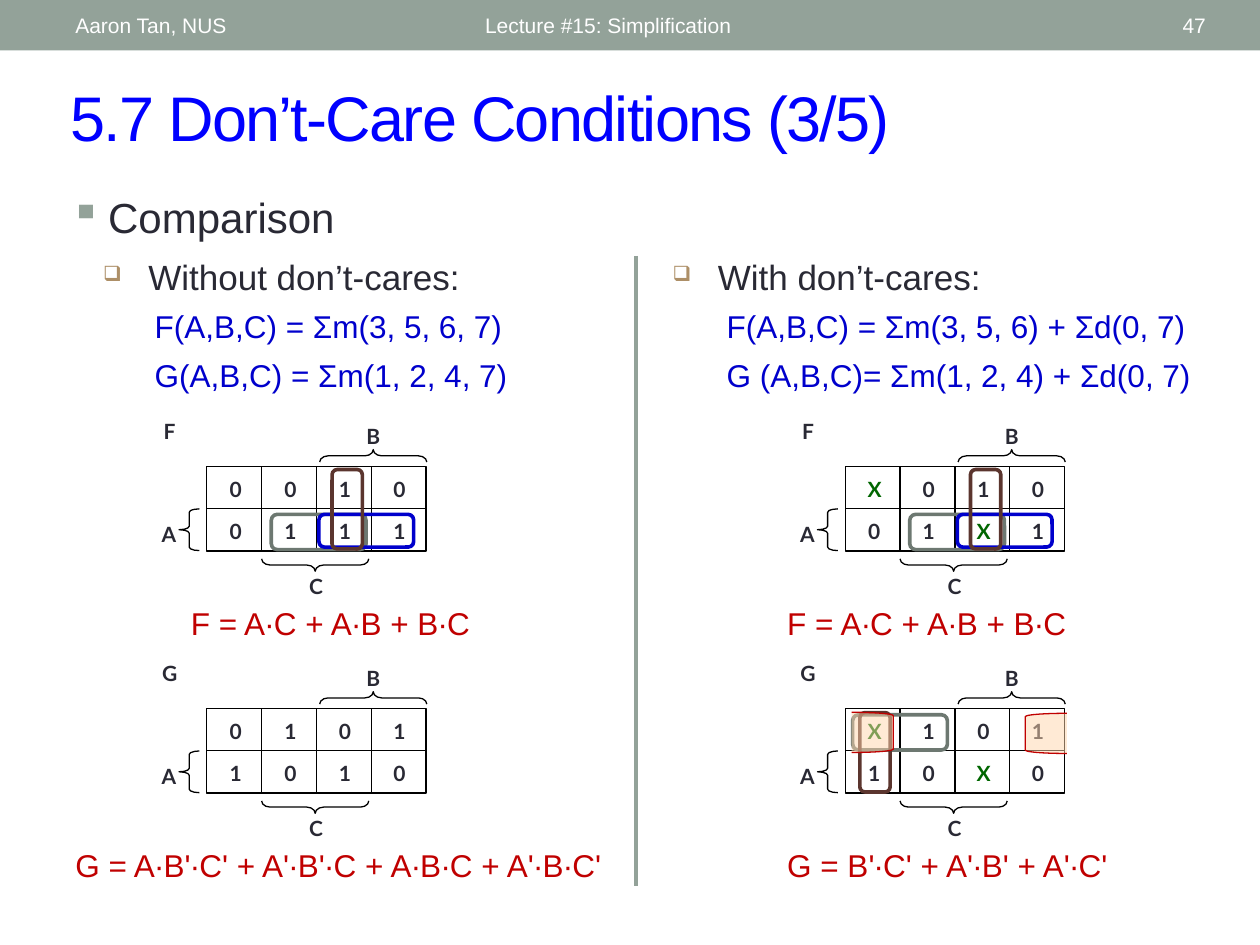
from lxml.etree import SubElement
from pptx import Presentation
from pptx.dml.color import RGBColor as Rgb
from pptx.enum.shapes import MSO_CONNECTOR as Link, MSO_SHAPE as Kind
from pptx.enum.text import MSO_ANCHOR as Anchor, PP_ALIGN as Align
from pptx.oxml.ns import qn
from pptx.util import Cm, Pt

COLORS = {
    "sage": "93A299", "white": "FFFFFF", "black": "000000", "title": "0000FF",
    "body": "292934", "blue": "0000CC", "red": "C00000", "green": "006600",
    "tan": "AD8F67", "gray": "6D7871", "brown": "5B352E", "peach": "FFD6AD",
}
STYLES = {
    "title": {"name": "Arial", "size": Pt(36)},
    "header": {"name": "Arial", "size": Pt(12)},
    "topic": {"name": "Arial", "size": Pt(24)},
    "case": {"name": "Arial", "size": Pt(20)},
    "formula": {"name": "Arial", "size": Pt(18)},
    "map": {"name": "Lato", "size": Pt(12), "bold": True},
}
HEADER = [
    ("Aaron Tan, NUS", (1.27, 0.05, 8.05, 0.91), Align.LEFT),
    ("Lecture #15: Simplification", (9.53, 0.05, 11.43, 0.91), Align.LEFT),
    ("47", (22.15, 0.05, 2.41, 0.91), Align.RIGHT),
]
TITLE = "5.7 Don’t-Care Conditions (3/5)"
TOPIC = "Comparison"
F_LOOPS = [
    ("gray", (1.3, 0.97, 1.91, 0.71), 0),
    ("blue", (2.26, 0.97, 1.91, 0.66), 0),
    ("brown", (2.03, 0.56, 1.6, 0.61), 270),
]
G_LOOPS = [
    ("gray", (0.15, 0.13, 1.91, 0.71), 0),
    ("brown", (-0.2, 0.58, 1.6, 0.61), 270),
]
G_BRACKETS = [((3.63, 0.1, 0.84, 0.81), None), ((0.13, 0.08, 0.84, 0.81), "flipH")]
CASES = [
    {
        "heading": "Without don’t-cares:", "heading_left": 0.89,
        "minterms": ["F(A,B,C) = Σm(3, 5, 6, 7)", "G(A,B,C) = Σm(1, 2, 4, 7)"],
        "minterms_left": 2.57, "map_left": 4.17,
        "maps": [
            ("F", ["0010", "0111"], F_LOOPS, [], "F = A∙C + A∙B + B∙C", 3.3),
            ("G", ["0101", "1010"], [], [],
             "G = A∙B'∙C' + A'∙B'∙C + A∙B∙C + A'∙B∙C'", 0.97),
        ],
    },
    {
        "heading": "With don’t-cares:", "heading_left": 12.37,
        "minterms": ["F(A,B,C) = Σm(3, 5, 6) + Σd(0, 7)",
                     "G (A,B,C)= Σm(1, 2, 4) + Σd(0, 7)"],
        "minterms_left": 14.1, "map_left": 17.04,
        "maps": [
            ("F", ["X010", "01X1"], F_LOOPS, [], "F = A∙C + A∙B + B∙C", 15.32),
            ("G", ["X101", "10X0"], G_LOOPS, G_BRACKETS,
             "G = B'∙C' + A'∙B' + A'∙C'", 15.32),
        ],
    },
]
BRACES = [
    ("A", (-1.4, 0.99, 1.27, 0.69), (-0.56, 0.86, 0.41, 0.84), 0, None, 0.17),
    ("B", (2.95, -0.99, 0.81, 0.66), (3.23, -1.29, 0.25, 2.16), 90, "flipV", 0.68),
    ("C", (1.8, 2.04, 0.81, 0.74), (2.06, 0.91, 0.25, 2.16), 270, None, 0.68),
]
NAME_BOX = (-1.17, -1.09, 0.84, 0.69)
MAP_TOP, MAP_STEP = 9.4, 4.88
MAP_WIDTH, MAP_HEIGHT = 4.42, 1.71
RESULT_DROP = 2.65


def color(name):
    return Rgb.from_string(COLORS[name])


def write(shapes, box, lines, style, ink, align=Align.LEFT, anchor=Anchor.TOP,
          wrap=True, indent=0, hang=0, bullet=None):
    area = shapes.add_textbox(*map(Cm, box))
    frame = area.text_frame
    frame.word_wrap, frame.vertical_anchor = wrap, anchor
    for row, line in enumerate(lines):
        par = frame.paragraphs[0] if row == 0 else frame.add_paragraph()
        par.alignment = align
        if row:
            par.space_before = Pt(6)
        props = par._p.get_or_add_pPr()
        if indent:
            props.set("marL", str(Cm(indent)))
            props.set("indent", str(-Cm(hang)))
        if bullet:
            symbol, tint, percent = bullet
            tone = SubElement(props, qn("a:buClr"))
            SubElement(tone, qn("a:srgbClr"), val=COLORS[tint])
            SubElement(props, qn("a:buSzPct"), val=str(percent * 1000))
            SubElement(props, qn("a:buChar"), char=symbol)
        run = par.add_run()
        run.text = line
        for key, value in STYLES[style].items():
            setattr(run.font, key, value)
        run.font.color.rgb = color(ink)
    return area


def draw(shapes, kind, box, fill=None, line=None, width=0.75, turn=0, flip=None, alpha=None):
    part = shapes.add_shape(kind, *map(Cm, box))
    part.shadow.inherit = False
    part.rotation = turn
    if fill:
        part.fill.solid()
        part.fill.fore_color.rgb = color(fill)
    else:
        part.fill.background()
    if alpha:
        tint = part.element.spPr.find(qn("a:solidFill")).find(qn("a:srgbClr"))
        SubElement(tint, qn("a:alpha"), val=str(alpha * 1000))
    if line:
        part.line.color.rgb = color(line)
        part.line.width = Pt(width)
    else:
        part.line.fill.background()
    if flip:
        part.element.spPr.find(qn("a:xfrm")).set(flip, "1")
    return part


def rule(shapes, ends, ink, width):
    link = shapes.add_connector(Link.STRAIGHT, *map(Cm, ends))
    link.line.color.rgb = color(ink)
    link.line.width = Pt(width)
    SubElement(link.element.spPr, qn("a:effectLst"))


def draw_map(shapes, left, top, name, rows, loops, brackets):
    def at(box):
        return (left + box[0], top + box[1], *box[2:])

    def label(box, text, ink="body"):
        write(grid, at(box), [text], "map", ink, Align.CENTER, wrap=False)

    grid = shapes.add_group_shape().shapes
    draw(grid, Kind.RECTANGLE, at((0, 0, MAP_WIDTH, MAP_HEIGHT)), "white", "black")
    middle = top + MAP_HEIGHT / 2
    rule(grid, (left, middle, left + MAP_WIDTH, middle), "black", 0.75)
    for col in range(1, 4):
        x = left + col * MAP_WIDTH / 4
        rule(grid, (x, top, x, top + MAP_HEIGHT), "black", 0.75)
    label(NAME_BOX, name)
    for variable, label_box, brace_box, turn, flip, curve in BRACES:
        label(label_box, variable)
        brace = draw(grid, Kind.LEFT_BRACE, at(brace_box), None, "black", turn=turn, flip=flip)
        brace.adjustments[0] = curve
    for row, values in enumerate(rows):
        for col, value in enumerate(values):
            cell = (0.2 + 1.1 * col, 0.09 + 0.84 * row, 0.77, 0.76)
            label(cell, value, "green" if value == "X" else "body")
    for ink, box, turn in loops:
        draw(shapes, Kind.ROUNDED_RECTANGLE, at(box), None, ink, 2.08, turn)
    for box, flip in brackets:
        draw(shapes, Kind.LEFT_BRACKET, at(box), "peach", "red", flip=flip, alpha=50)


def main():
    deck = Presentation()
    deck.slide_width, deck.slide_height = Cm(25.4), Cm(19.05)
    shapes = deck.slides.add_slide(deck.slide_layouts[6]).shapes
    draw(shapes, Kind.RECTANGLE, (0, 0, 25.4, 1.02), "sage")
    for text, box, align in HEADER:
        write(shapes, box, [text], "header", "white", align, Anchor.MIDDLE)
    title = write(shapes, (1.17, 1.45, 23.04, 1.78), [TITLE], "title", "title",
                  anchor=Anchor.MIDDLE)
    title.text_frame.paragraphs[0].runs[0].font._element.set("spc", "-100")
    write(shapes, (1.17, 3.73, 22.86, 1.32), [TOPIC], "topic", "body",
          indent=0.76, hang=0.76, bullet=("▪", "sage", 100))
    for case in CASES:
        write(shapes, (case["heading_left"], 5.03, 9.09, 1.09), [case["heading"]],
              "case", "body", indent=1.85, hang=0.91, bullet=("❑", "tan", 60))
        write(shapes, (case["minterms_left"], 6.07, 10.6, 2.26), case["minterms"],
              "formula", "blue", indent=0.3)
        for order, (name, rows, loops, brackets, result, result_left) in enumerate(case["maps"]):
            top = MAP_TOP + order * MAP_STEP
            draw_map(shapes, case["map_left"], top, name, rows, loops, brackets)
            write(shapes, (result_left, top + RESULT_DROP, 12.04 if order else 6.88, 1.09),
                  [result], "formula", "red", wrap=False, indent=0.3)
    rule(shapes, (12.83, 5.16, 12.83, 17.86), "sage", 2.25)
    deck.save("out.pptx")


if __name__ == "__main__":
    main()
